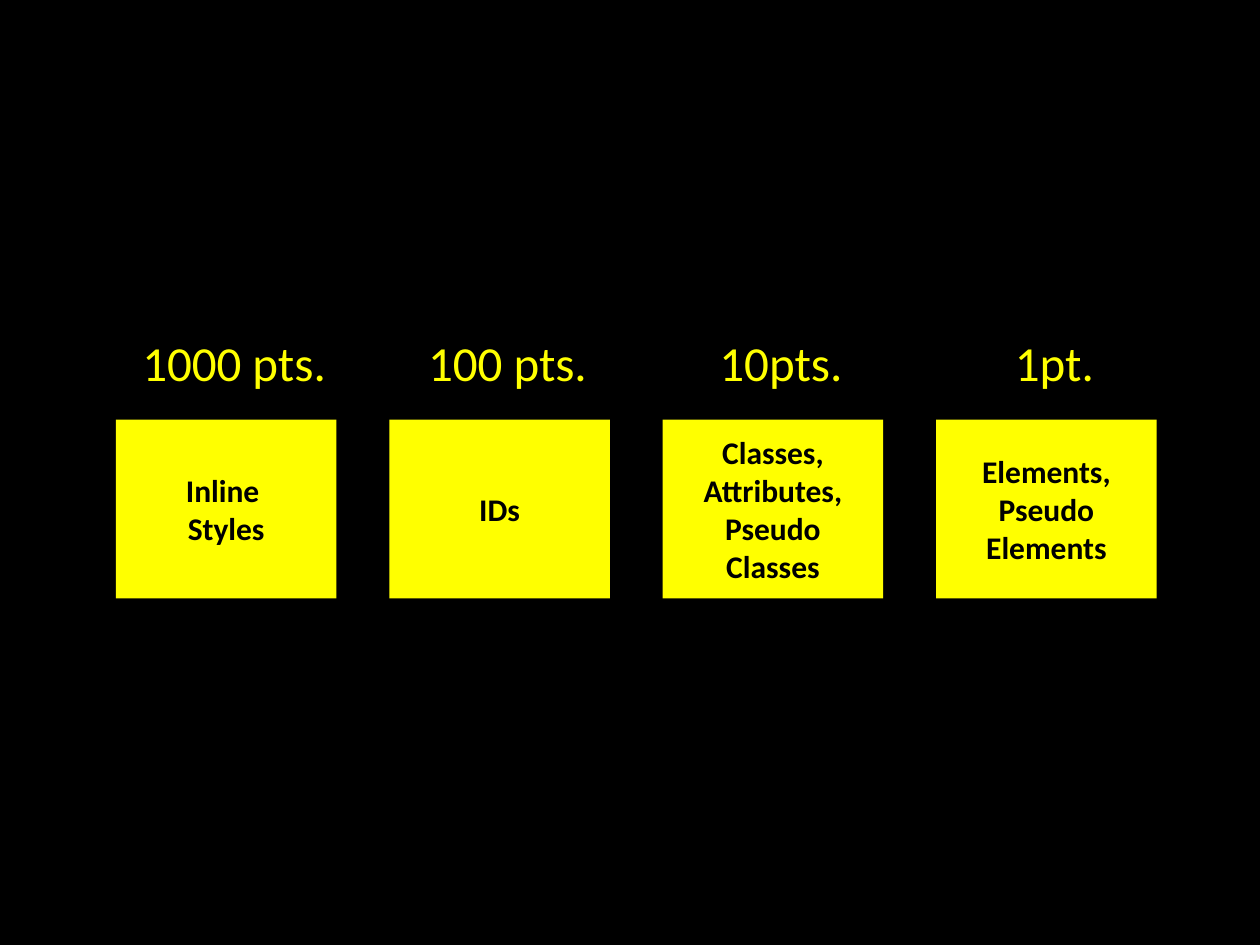
import pptx
import pptx.util
import pptx.dml.color
import pptx.enum.shapes
import pptx.enum.text
from lxml import etree
from pptx.oxml.ns import qn
from pptx.util import Inches, Pt

BLACK = pptx.dml.color.RGBColor(0x00, 0x00, 0x00)
YELLOW = pptx.dml.color.RGBColor(0xFF, 0xFF, 0x00)

LEVELS = [
    ("1000 pts.", "Inline \nStyles"),
    ("100 pts.", "IDs"),
    ("10pts.", "Classes,\nAttributes,\nPseudo\nClasses"),
    ("1pt.", "Elements,\nPseudo\nElements"),
]
BOX_LEFT, BOX_STEP = 0.92, 2.17


def style_runs(p, size, color, bold=False):
    for r in p.runs:
        r.font.name = "Calibri"
        r.font.size = Pt(size)
        r.font.bold = bold
        r.font.color.rgb = color


prs = pptx.Presentation()
prs.slide_width, prs.slide_height = Inches(10), Inches(7.5)
s = prs.slides.add_slide(prs.slide_layouts[6])
s.background.fill.solid()
s.background.fill.fore_color.rgb = BLACK

# Selector boxes
for i, (points, selectors) in enumerate(LEVELS):
    sp = s.shapes.add_shape(
        pptx.enum.shapes.MSO_SHAPE.RECTANGLE,
        Inches(BOX_LEFT + i * BOX_STEP), Inches(3.33), Inches(1.75), Inches(1.42))
    sp.shadow.inherit = False
    sp.fill.solid()
    sp.fill.fore_color.rgb = YELLOW
    sp.line.fill.background()
    tf = sp.text_frame
    tf.text = selectors
    tf.vertical_anchor = pptx.enum.text.MSO_ANCHOR.MIDDLE
    for p in tf.paragraphs:
        p.alignment = pptx.enum.text.PP_ALIGN.CENTER
        style_runs(p, 18, BLACK, bold=True)

# Points line, each value on a centred tab stop above its box
tf = s.shapes.add_textbox(Inches(0.5), Inches(2.59), Inches(9.33), Inches(0.57)).text_frame
tf.word_wrap = True
p = tf.paragraphs[0]
p.text = "".join("\t" + points for points, selectors in LEVELS)
style_runs(p, 28, YELLOW)
tabs = etree.SubElement(p._p.get_or_add_pPr(), qn("a:tabLst"))
for i in range(len(LEVELS)):
    etree.SubElement(tabs, qn("a:tab"), pos=str(Inches(1.26 + i * BOX_STEP)), algn="ctr")

prs.save("out.pptx")
